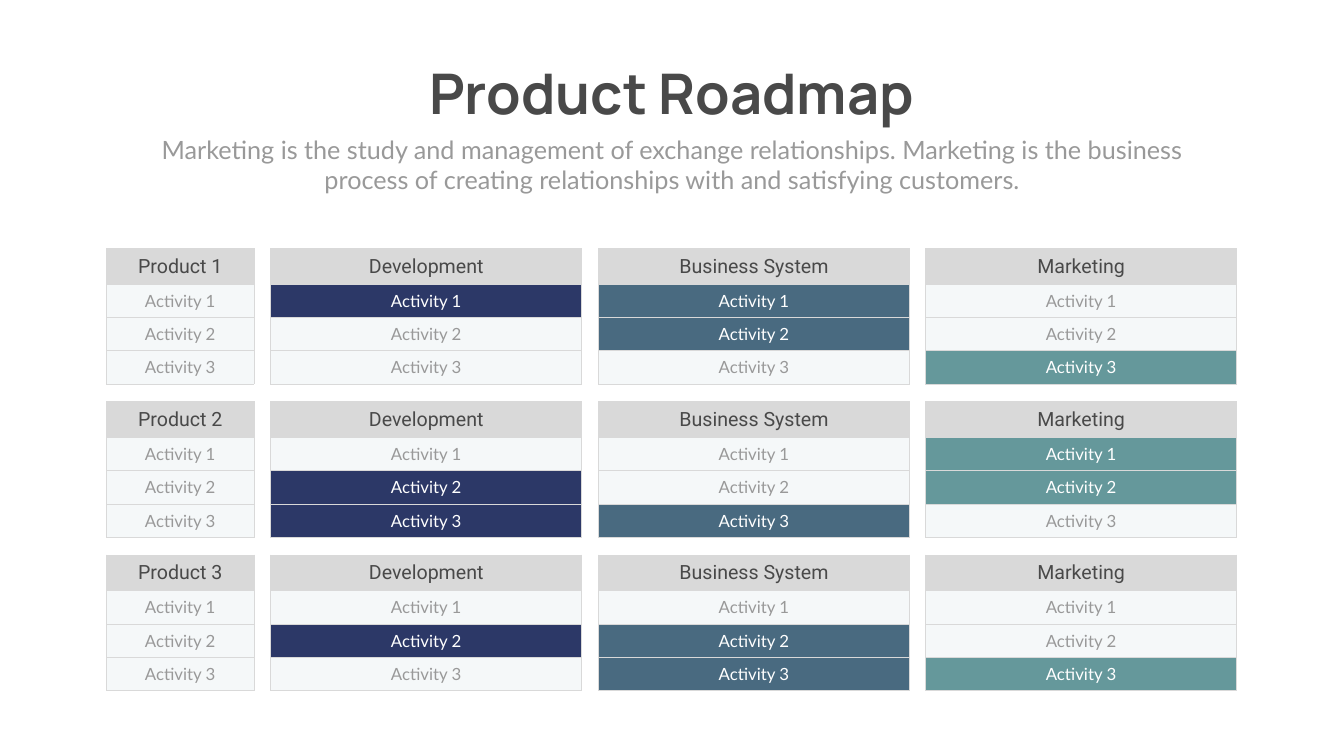
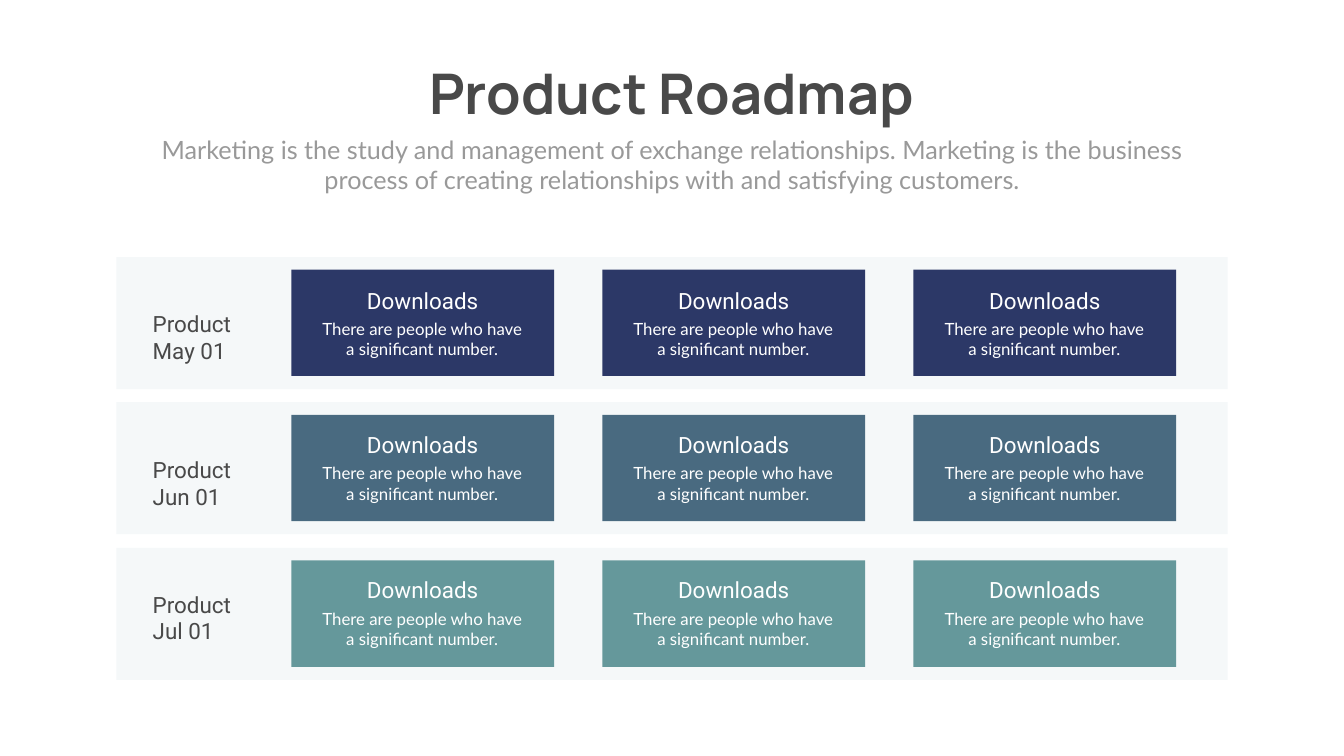
from lxml import etree
from pptx import Presentation
from pptx import util as u
from pptx.dml.color import RGBColor
from pptx.enum import shapes, text
from pptx.oxml import ns

PX = 9144
DARK = RGBColor(0x49, 0x49, 0x49)
GREY = RGBColor(0x99, 0x99, 0x99)
RULE = RGBColor(0xD9, 0xD9, 0xD9)
PALE = RGBColor(0xF5, 0xF8, 0xF9)
WHITE = RGBColor(0xFF, 0xFF, 0xFF)
NAVY = RGBColor(0x2C, 0x38, 0x67)
SLATE = RGBColor(0x49, 0x6A, 0x80)
TEAL = RGBColor(0x65, 0x98, 0x9B)
HEAD, BODY, TITLE = "Roboto", "Lato", "Manrope"
CENTER, LEFT = text.PP_ALIGN.CENTER, text.PP_ALIGN.LEFT


def px(*lengths):
    return [u.Emu(n * PX) for n in lengths]


def put_text(tf, content, size=24, font=BODY, color=GREY, align=CENTER, bold=False):
    for i, line in enumerate(content.split("\n")):
        p = tf.add_paragraph() if i else tf.paragraphs[0]
        p.alignment = align
        r = p.add_run()
        r.text = line
        r.font.size = u.Pt(size)
        r.font.name = font
        r.font.bold = bold
        r.font.color.rgb = color


prs = Presentation()
prs.slide_width, prs.slide_height = px(2666, 1500)

for _ in range(2):
    s = prs.slides.add_slide(prs.slide_layouts[5])
    sp = s.shapes.title
    sp.left, sp.top, sp.width, sp.height = px(799, 112, 1067, 145)
    tf = sp.text_frame
    tf.word_wrap = False
    tf.auto_size = text.MSO_AUTO_SIZE.SHAPE_TO_FIT_TEXT
    tf.vertical_anchor = text.MSO_ANCHOR.TOP
    put_text(tf, "Product Roadmap", size=80, font=TITLE, color=DARK, bold=True)
    tf = s.shapes.add_textbox(*px(292, 261, 2082, 131)).text_frame
    tf.word_wrap = True
    tf.auto_size = text.MSO_AUTO_SIZE.SHAPE_TO_FIT_TEXT
    put_text(tf, "Marketing is the study and management of exchange relationships. "
             "Marketing is the business process of creating relationships with "
             "and satisfying customers.", size=36)

roadmap, timeline = prs.slides

columns = [
    (211, 293, "Product {}", None, [(), (), ()]),
    (537, 617, "Development", NAVY, [(1,), (2, 3), (2,)]),
    (1187, 617, "Business System", SLATE, [(1, 2), (3,), (2, 3)]),
    (1836, 617, "Marketing", TEAL, [(3,), (1, 2), (3,)]),
]
for product in range(3):
    for x, w, heading, accent, active in columns:
        gf = roadmap.shapes.add_table(4, 1, *px(x, 493 + 304 * product, w, 269))
        tbl = gf.table
        tbl.first_row = tbl.horz_banding = False
        for row in range(4):
            tbl.rows[row].height = px(66 if row else 71)[0]
            cell = tbl.cell(row, 0)
            cell.vertical_anchor = text.MSO_ANCHOR.MIDDLE
            tcPr = cell._tc.get_or_add_tcPr()
            for side in ("a:lnL", "a:lnR", "a:lnT", "a:lnB"):
                ln = etree.SubElement(tcPr, ns.qn(side), w="12700")
                fill = etree.SubElement(ln, ns.qn("a:solidFill"))
                etree.SubElement(fill, ns.qn("a:srgbClr"), val=str(RULE))
            on = row in active[product]
            cell.fill.solid()
            if row:
                cell.fill.fore_color.rgb = accent if on else PALE
                put_text(cell.text_frame, f"Activity {row}", color=WHITE if on else GREY)
            else:
                cell.fill.fore_color.rgb = RULE
                put_text(cell.text_frame, heading.format(product + 1),
                         size=28, font=HEAD, color=DARK)

months = [
    ("May 01", NAVY, 510, 611, 564),
    ("Jun 01", SLATE, 798, 900, 850),
    ("Jul 01", TEAL, 1087, 1167, 1139),
]
for month, accent, band_y, label_y, text_y in months:
    rects = [(231, band_y, 2204, 262, PALE)]
    rects += [(578 + 617 * i, band_y + 25, 521, 211, accent) for i in range(3)]
    for *box, color in rects:
        sp = timeline.shapes.add_shape(shapes.MSO_SHAPE.RECTANGLE, *px(*box))
        sp.shadow.inherit = False
        sp.fill.solid()
        sp.fill.fore_color.rgb = color
        sp.line.fill.background()

    tf = timeline.shapes.add_textbox(*px(293, label_y, 222, 118)).text_frame
    tf.word_wrap = True
    tf.auto_size = text.MSO_AUTO_SIZE.SHAPE_TO_FIT_TEXT
    put_text(tf, f"Product\n{month}", size=32, font=HEAD, color=DARK, align=LEFT)

    for i in range(3):
        x = 578 + 617 * i
        grp = timeline.shapes.add_group_shape()
        for box, content, size, font in [
            ((x + 47, text_y + 64, 425, 91),
             "There are people who have a significant number.", 24, BODY),
            ((x, text_y, 521, 64), "Downloads", 32, HEAD),
        ]:
            tf = grp.shapes.add_textbox(*px(*box)).text_frame
            tf.word_wrap = True
            tf.auto_size = text.MSO_AUTO_SIZE.SHAPE_TO_FIT_TEXT
            put_text(tf, content, size=size, font=font, color=WHITE)

prs.save("out.pptx")
